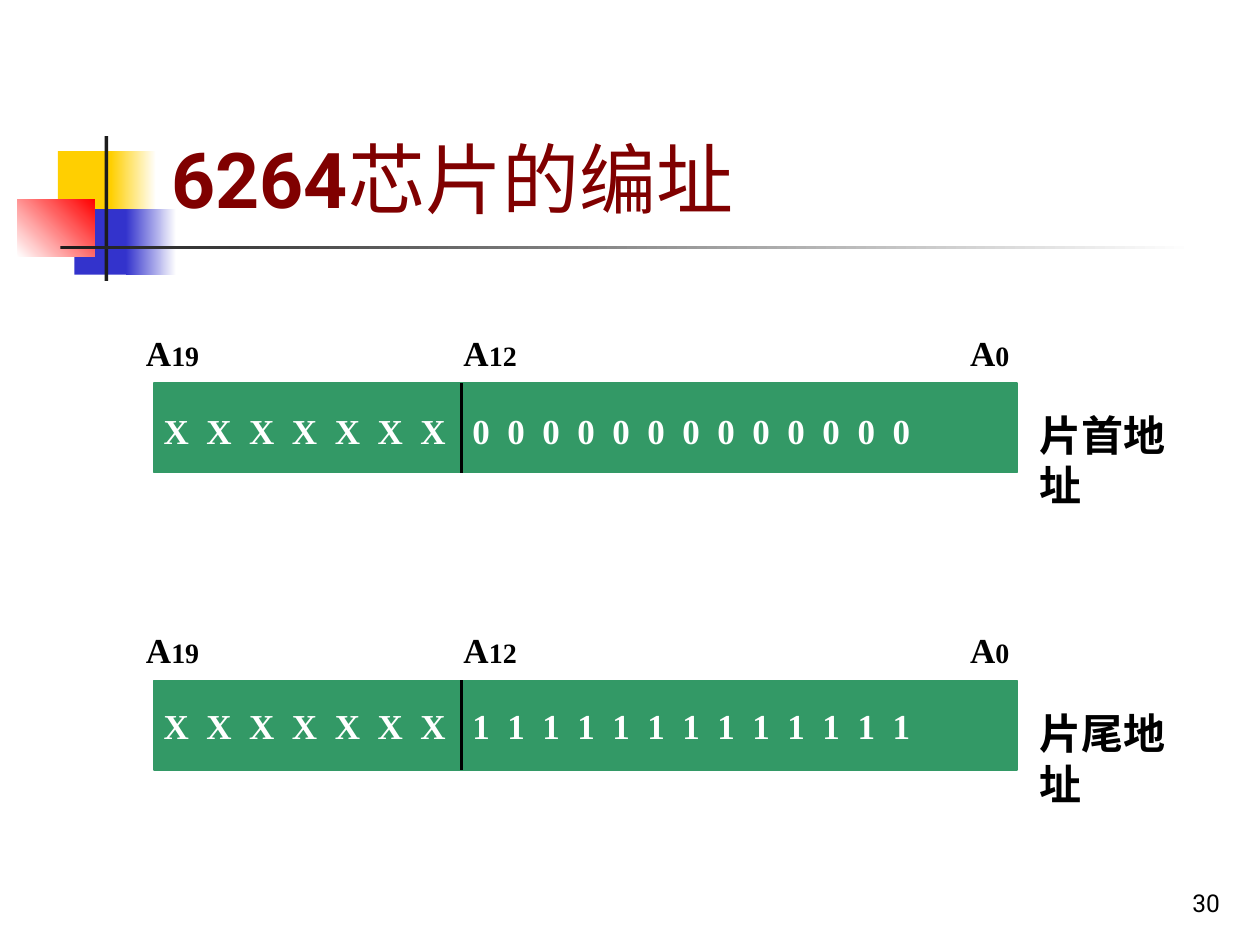
from lxml.etree import SubElement
from pptx import Presentation
from pptx.dml.color import RGBColor
from pptx.enum.shapes import MSO_CONNECTOR, MSO_SHAPE
from pptx.enum.text import MSO_ANCHOR, MSO_AUTO_SIZE, PP_ALIGN
from pptx.oxml.ns import qn
from pptx.util import Inches, Pt

COLORS = {name: RGBColor.from_string(value) for name, value in {
    "yellow": "FFCF01", "blue": "3333CC", "red": "FF0000", "ink": "1C1C1C",
    "white": "FFFFFF", "black": "000000", "maroon": "800000", "green": "339966",
}.items()}
SERIF, SANS = "Times New Roman", "Roboto"

prs = Presentation()
prs.slide_width, prs.slide_height = Inches(10), Inches(7.5)
slide = prs.slides.add_slide(prs.slide_layouts[5])
shapes = slide.shapes


def add_block(left, top, width, height, color, end_color=None, angle=0):
    """Add a borderless rectangle, solid or fading from color to end_color."""
    block = shapes.add_shape(MSO_SHAPE.RECTANGLE, Inches(left), Inches(top),
                             Inches(width), Inches(height))
    block.shadow.inherit = False
    block.line.fill.background()
    if end_color is None:
        block.fill.solid()
        block.fill.fore_color.rgb = COLORS[color]
    else:
        block.fill.gradient()
        block.fill.gradient_angle = angle
        for stop, name in zip(block.fill.gradient_stops, (color, end_color)):
            stop.color.rgb = COLORS[name]
    return block


def add_label(left, top, width, height, runs, color="black", font=SERIF, bold=True):
    """Add a text box from (text, size) runs and return it."""
    label = shapes.add_textbox(Inches(left), Inches(top), Inches(width), Inches(height))
    label.text_frame.word_wrap = True
    for text, size in runs:
        run = label.text_frame.paragraphs[0].add_run()
        run.text = text
        run.font.size, run.font.name, run.font.bold = Pt(size), font, bold
        run.font.color.rgb = COLORS[color]
    return label


# Corner ornament and title rule
add_block(0.46, 1.2, 0.48, 0.52, "yellow")
add_block(0.88, 1.2, 0.36, 0.52, "yellow", "white")
add_block(0.59, 1.66, 0.46, 0.52, "blue")
add_block(1, 1.66, 0.4, 0.52, "blue", "white")
add_block(0.14, 1.58, 0.61, 0.46, "white", "red", angle=45)
add_block(0.83, 1.08, 0.03, 1.15, "ink")
add_block(0.48, 1.95, 9, 0.03, "ink", "white")

# Title
title = shapes.title
title.left, title.top = Inches(1.26), Inches(0.23)
title.width, title.height = Inches(8.52), Inches(1.6)
title.text_frame.auto_size = MSO_AUTO_SIZE.NONE
title.text_frame.vertical_anchor = MSO_ANCHOR.BOTTOM
heading = title.text_frame.paragraphs[0]
heading.alignment = PP_ALIGN.LEFT
for text, bold in (("6264", True), ("芯片的编址", False)):
    run = heading.add_run()
    run.text = text
    run.font.size, run.font.name, run.font.bold = Pt(44), SANS, bold
    run.font.color.rgb = COLORS["maroon"]

page_number = add_label(7.7, 6.83, 2.08, 0.5, [("30", 14)], font=SANS, bold=False)
page_number.text_frame.vertical_anchor = MSO_ANCHOR.BOTTOM
page_number.text_frame.paragraphs[0].alignment = PP_ALIGN.RIGHT

# Address bars: bar top, bits top, caption top, low bit value, caption
address_bars = [
    (3.04, 3.2, 3.2, "0", "片首地址"),
    (5.4, 5.54, 5.57, "1", "片尾地址"),
]
for bar_top, bits_top, caption_top, low_bit, caption in address_bars:
    bar = add_block(1.22, bar_top, 6.85, 0.71, "green")
    bar.line.color.rgb = COLORS["green"]
    bar.line.width = Pt(1)

    divider = shapes.add_connector(MSO_CONNECTOR.STRAIGHT, Inches(3.66), Inches(bar_top),
                                   Inches(3.66), Inches(bar_top + 0.71))
    divider.line.color.rgb = COLORS["black"]
    divider.line.width = Pt(1.75)
    SubElement(divider._element.spPr, qn("a:effectLst"))

    for pin_left, pin in ((1.06, "19"), (3.58, "12"), (7.6, "0")):
        add_label(pin_left, bar_top - 0.46, 0.79, 0.44, [("A", 20), (pin, 16)])

    add_label(1.2, bits_top, 2.52, 0.44, [("  ".join("X" * 7), 20)], "white")
    add_label(3.65, bits_top, 4.49, 0.44, [("  ".join(low_bit * 13), 20)], "white")
    add_label(8.15, caption_top, 1.26, 0.9, [(caption, 24)])

prs.save("out.pptx")
